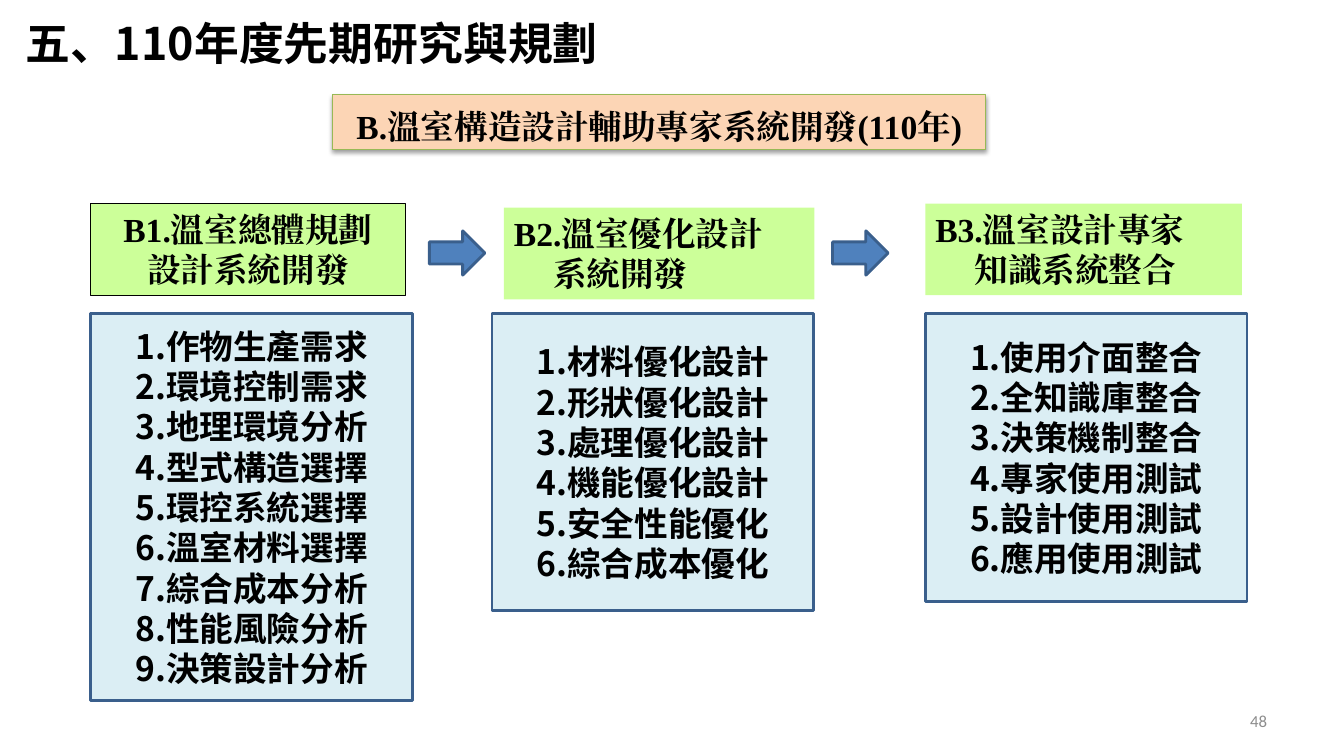
"""Build the slide on the 110 research plan for greenhouse design."""
from lxml.etree import SubElement
from pptx import Presentation
from pptx.dml.color import RGBColor
from pptx.enum.shapes import MSO_SHAPE
from pptx.enum.text import MSO_ANCHOR, MSO_AUTO_SIZE, PP_ALIGN
from pptx.oxml.ns import qn
from pptx.util import Pt

HUES = {"ink": "000000", "green": "CCFF99", "pale": "DBEEF4", "edge": "3A5F8C",
        "arrow": "4F81BD", "peach": "FCD5B5", "rim": "98B955", "grey": "8C8C8C"}
SANS, SERIF = "Noto Sans CJK SC", "Times New Roman"


def paint(shape, fill, line=None, width=0):
    """Set the fill and the outline of a shape."""
    shape.shadow.inherit = False
    shape.fill.solid()
    shape.fill.fore_color.rgb = RGBColor.from_string(HUES[fill])
    if line:
        shape.line.color.rgb = RGBColor.from_string(HUES[line])
        shape.line.width = Pt(width)
    else:
        shape.line.fill.background()


def write(shape, text, size, font, align, anchor, hue="ink", bold=True):
    """Fill a shape with text, one paragraph a line."""
    frame = shape.text_frame
    frame.text = text
    frame.word_wrap = True
    frame.auto_size = MSO_AUTO_SIZE.NONE
    frame.vertical_anchor = anchor
    for para in frame.paragraphs:
        para.alignment = align
        para.space_before = Pt(0)
        for run in para.runs:
            run.font.size = Pt(size)
            run.font.bold = bold
            run.font.name = font
            run.font.color.rgb = RGBColor.from_string(HUES[hue])
            SubElement(run.font._element, qn("a:ea"), typeface=font)


deck = Presentation()
deck.slide_width, deck.slide_height = Pt(960), Pt(540)
slide = deck.slides.add_slide(deck.slide_layouts.get_by_name("Comparison"))
shapes = slide.shapes

title = shapes.title
title.left, title.top, title.width, title.height = Pt(10.8), Pt(7.9), Pt(449.3), Pt(46)
write(title, "五、110年度先期研究與規劃", 32, SANS, PP_ALIGN.LEFT, MSO_ANCHOR.TOP)

banner = shapes.add_shape(MSO_SHAPE.RECTANGLE, Pt(237.6), Pt(67.7), Pt(466.6), Pt(38.9))
paint(banner, "peach", "rim", 0.75)
write(banner, "B.溫室構造設計輔助專家系統開發(110年)", 24, SERIF,
      PP_ALIGN.CENTER, MSO_ANCHOR.MIDDLE)
frame = banner.text_frame
frame.margin_left = frame.margin_right = Pt(2.9)
frame.margin_top = frame.margin_bottom = Pt(1.4)
frame.paragraphs[0].line_spacing = Pt(35)
glow = SubElement(banner._element.spPr.find(qn("a:effectLst")), qn("a:outerShdw"),
                  blurRad=str(Pt(3.1)), dist=str(Pt(1.6)), dir="5400000", rotWithShape="0")
shade = SubElement(glow, qn("a:srgbClr"), val=HUES["ink"])
SubElement(shade, qn("a:alpha"), val="38000")

heads = [
    ("B1.溫室總體規劃\n設計系統開發", 64.8, 145.4, 224.6, PP_ALIGN.CENTER, "ink"),
    ("B2.溫室優化設計\n系統開發", 360, 148.3, 221.8, PP_ALIGN.LEFT, None),
    ("B3.溫室設計專家\n知識系統整合", 661, 145.4, 226.1, PP_ALIGN.LEFT, None),
]
for text, left, top, width, align, line in heads:
    head = shapes.add_shape(MSO_SHAPE.RECTANGLE, Pt(left), Pt(top), Pt(width), Pt(65.5))
    paint(head, "green", line, 0.75)
    write(head, text, 24, SERIF, align, MSO_ANCHOR.TOP)
    if align == PP_ALIGN.LEFT:
        head.text_frame.paragraphs[1]._p.get_or_add_pPr().set("marL", str(Pt(28)))

lists = [
    (64.8, 276.5, ["作物生產需求", "環境控制需求", "地理環境分析", "型式構造選擇", "環控系統選擇",
                   "溫室材料選擇", "綜合成本分析", "性能風險分析", "決策設計分析"]),
    (351.4, 212.4, ["材料優化設計", "形狀優化設計", "處理優化設計",
                    "機能優化設計", "安全性能優化", "綜合成本優化"]),
    (661, 205.9, ["使用介面整合", "全知識庫整合", "決策機制整合",
                  "專家使用測試", "設計使用測試", "應用使用測試"]),
]
bodies = list(slide.placeholders)[1:]
for body, (left, height, items) in zip(bodies, lists):
    body.left, body.top, body.width, body.height = Pt(left), Pt(223.9), Pt(229.7), Pt(height)
    paint(body, "pale", "edge", 2)
    text = "\n".join(f"{n}.{item}" for n, item in enumerate(items, 1))
    write(body, text, 24, SANS, PP_ALIGN.CENTER, MSO_ANCHOR.MIDDLE)
    for para in body.text_frame.paragraphs:
        props = para._p.get_or_add_pPr()
        props.set("marL", "0")
        props.set("indent", "0")
        SubElement(props, qn("a:buNone"))
spare = bodies[-1]._element
spare.getparent().remove(spare)

for left in (306.7, 594.7):
    arrow = shapes.add_shape(MSO_SHAPE.RIGHT_ARROW, Pt(left), Pt(164.9), Pt(39.6), Pt(31.7))
    paint(arrow, "arrow", "edge", 2)

page = shapes.add_textbox(Pt(688.3), Pt(500.4), Pt(223.9), Pt(28.8))
write(page, "48", 12, "Calibri", PP_ALIGN.RIGHT, MSO_ANCHOR.MIDDLE, "grey", False)

deck.save("out.pptx")
